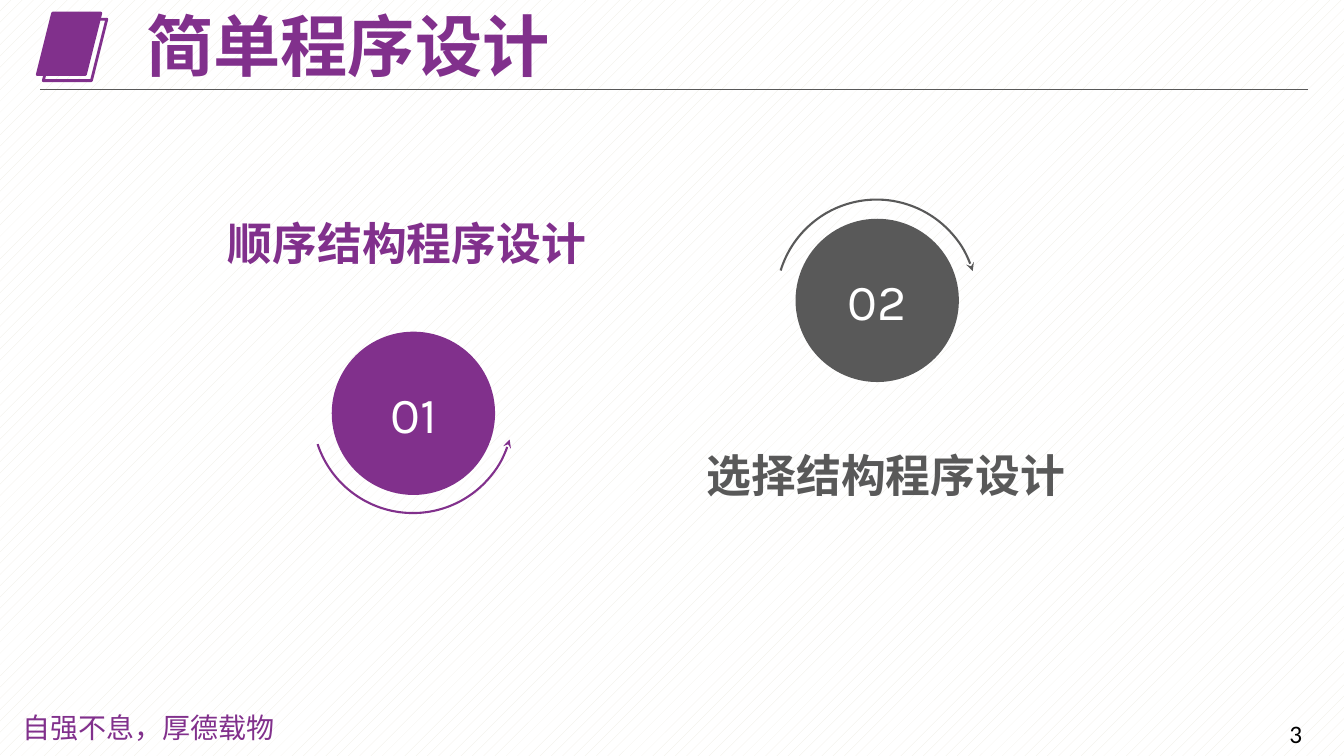
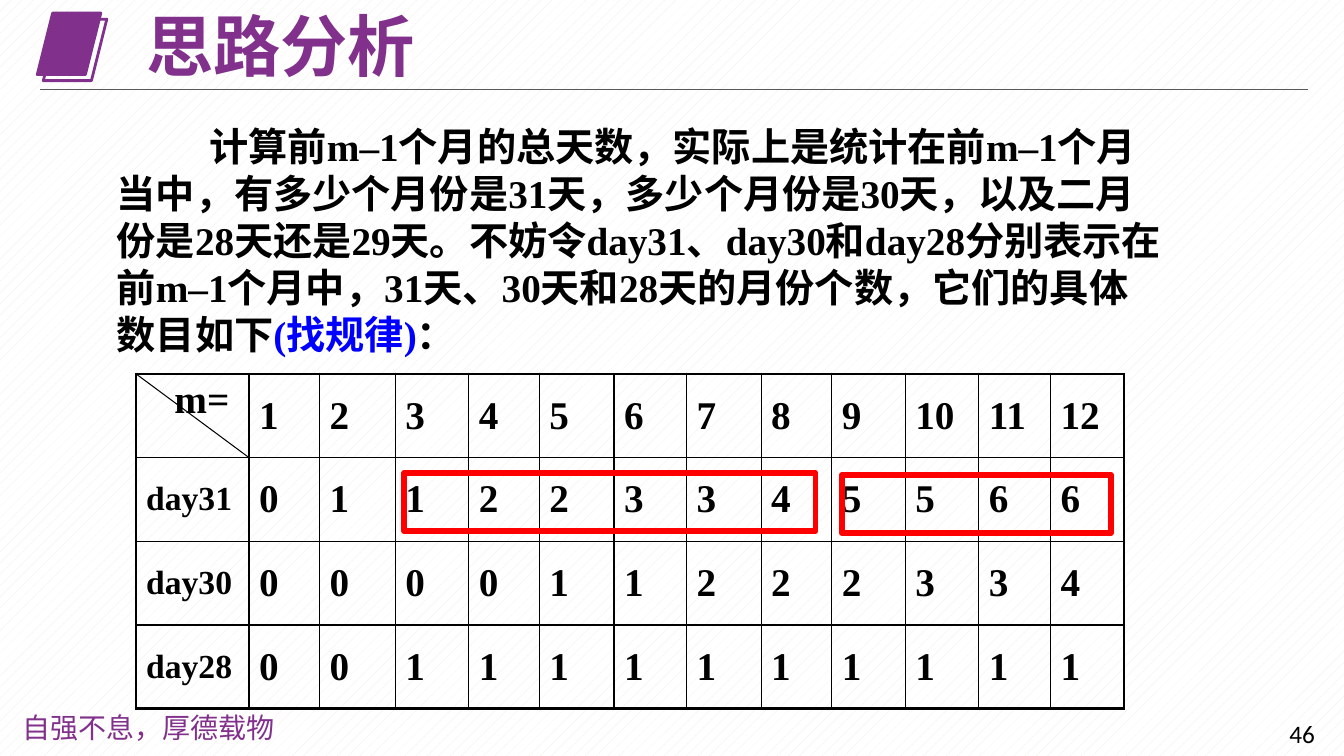
from lxml.etree import SubElement
from pptx import Presentation
from pptx.dml.color import RGBColor
from pptx.enum.dml import MSO_PATTERN
from pptx.enum.shapes import MSO_CONNECTOR, MSO_SHAPE as SHAPE
from pptx.enum.text import MSO_ANCHOR as ANCHOR, MSO_AUTO_SIZE as AUTO_SIZE, PP_ALIGN as ALIGN
from pptx.oxml.ns import qn
from pptx.util import Inches, Pt

PURPLE, GREY, BLACK, WHITE = "81308C", "595959", "000000", "FFFFFF"
RED, BLUE, PAPER = "FF0000", "0000FF", "EEECE1"
HEAD_FONT, FOOT_FONT = "Noto Sans CJK SC", "Noto Sans CJK JP"
SERIF, SANS, DIGITS = "Times New Roman", "Calibri", "Karla"

TABLE_LEFT, TABLE_TOP, ROW_HEIGHT = 1.35, 3.71, 0.83
COLUMN_WIDTHS = [1.12, 0.7, 0.75, 0.73, 0.7, 0.74, 0.72, 0.74, 0.7, 0.73, 0.73, 0.71, 0.73]
MONTH_COUNTS = [
    "m= 1 2 3 4 5 6 7 8 9 10 11 12",
    "day31 0 1 1 2 2 3 3 4 5 5 6 6",
    "day30 0 0 0 0 1 1 2 2 2 3 3 4",
    "day28 0 0 1 1 1 1 1 1 1 1 1 1",
]
EXPLANATION = (
    "计算前m–1个月的总天数，实际上是统计在前m–1个月当中，有多少个月份是31天，"
    "多少个月份是30天，以及二月份是28天还是29天。不妨令day31、day30和day28"
    "分别表示在前m–1个月中，31天、30天和28天的月份个数，它们的具体数目如下"
)


def rgb(value):
    return RGBColor.from_string(value)


def inches(*lengths):
    return [Inches(length) for length in lengths]


def style(paragraph, size, font, color, bold=False, east_asian=None):
    paragraph.font.size = Pt(size)
    paragraph.font.bold = bold
    paragraph.font.color.rgb = rgb(color)
    paragraph.font.name = font
    if east_asian:
        defaults = paragraph._p.pPr.find(qn("a:defRPr"))
        SubElement(defaults, qn("a:ea")).set("typeface", east_asian)


def add_text(slide, box, text, size, font, color, bold=False, east_asian=None):
    frame = slide.shapes.add_textbox(*inches(*box)).text_frame
    frame.word_wrap = True
    paragraph = frame.paragraphs[0]
    paragraph.text = text
    style(paragraph, size, font, color, bold, east_asian)
    return paragraph


def add_figure(shapes, kind, box, fill=None, line=None, width=1):
    figure = shapes.add_shape(kind, *inches(*box))
    figure.shadow.inherit = False
    if fill:
        figure.fill.solid()
        figure.fill.fore_color.rgb = rgb(fill)
    else:
        figure.fill.background()
    if line:
        figure.line.color.rgb = rgb(line)
        figure.line.width = Pt(width)
    else:
        figure.line.fill.background()
    return figure


def add_line(slide, start, end, color):
    line = slide.shapes.add_connector(MSO_CONNECTOR.STRAIGHT, *inches(*start, *end))
    line.line.color.rgb = rgb(color)
    line.line.width = Pt(0.75)
    SubElement(line._element.spPr, qn("a:effectLst"))


def add_page(deck, heading, title_width, number):
    slide = deck.slides.add_slide(deck.slide_layouts[5])
    add_text(slide, (0.12, 7, 2.78, 0.44), "自强不息，厚德载物", 20, FOOT_FONT, PURPLE,
             east_asian=FOOT_FONT)
    add_text(slide, (12.69, 7.08, 0.61, 0.4), str(number), 18, SANS, BLACK)

    emblem = slide.shapes.add_group_shape().shapes
    add_figure(emblem, SHAPE.PARALLELOGRAM, (0.37, 0.13, 0.63, 0.61), PURPLE, PURPLE, 2)
    add_figure(emblem, SHAPE.PARALLELOGRAM, (0.43, 0.19, 0.63, 0.61), None, PURPLE, 2)
    add_line(slide, (0.4, 0.89), (12.97, 0.89), GREY)

    title = slide.shapes.title
    title.left, title.top, title.width, title.height = inches(1.35, 0.11, title_width, 0.76)
    frame = title.text_frame
    frame.auto_size = AUTO_SIZE.NONE
    frame.vertical_anchor = ANCHOR.MIDDLE
    frame.margin_top = frame.margin_bottom = 0
    paragraph = frame.paragraphs[0]
    paragraph.text = heading
    paragraph.alignment = ALIGN.LEFT
    paragraph.line_spacing = 0.9
    style(paragraph, 48, HEAD_FONT, PURPLE, True, HEAD_FONT)
    return slide


def add_chapter(slide, number, label, label_box, center, color, rotation, mirrored):
    x, y = center
    badge = slide.shapes.add_group_shape().shapes
    disc = add_figure(badge, SHAPE.OVAL, (x - 0.81, y - 0.81, 1.62, 1.62), color)
    disc.text_frame.vertical_anchor = ANCHOR.MIDDLE
    paragraph = disc.text_frame.paragraphs[0]
    paragraph.text = number
    paragraph.alignment = ALIGN.CENTER
    style(paragraph, 36, DIGITS, WHITE)

    sweep = add_figure(badge, SHAPE.ARC, (x - 1, y - 1, 1.99, 1.99), None, color, 1.5)
    sweep.adjustments[0], sweep.adjustments[1] = 145.86, 17.63
    sweep.rotation = rotation
    if mirrored:
        sweep._element.spPr.xfrm.set("flipH", "1")
    SubElement(sweep.line._get_or_add_ln(), qn("a:headEnd")).set("type", "stealth")
    add_text(slide, label_box, label, 32, HEAD_FONT, color, True, HEAD_FONT)


def set_borders(cell, widths):
    properties = cell._tc.get_or_add_tcPr()
    for side, width in zip("LRTB", widths):
        border = SubElement(properties, qn(f"a:ln{side}"), w=str(Pt(width)))
        fill = SubElement(border, qn("a:solidFill"))
        SubElement(fill, qn("a:srgbClr")).set("val", BLACK)


def add_month_table(slide):
    rows = [line.split() for line in MONTH_COUNTS]
    last_row, last_column = len(rows) - 1, len(COLUMN_WIDTHS) - 1
    box = inches(TABLE_LEFT, TABLE_TOP, sum(COLUMN_WIDTHS), ROW_HEIGHT * len(rows))
    table = slide.shapes.add_table(len(rows), len(COLUMN_WIDTHS), *box).table
    table.first_row = table.horz_banding = False
    for column, width in zip(table.columns, COLUMN_WIDTHS):
        column.width = Inches(width)
    for r, values in enumerate(rows):
        table.rows[r].height = Inches(ROW_HEIGHT)
        for c, value in enumerate(values):
            cell = table.cell(r, c)
            edges = (c == 0, c == last_column, r == 0, r == last_row)
            set_borders(cell, [2.25 if outer else 1 for outer in edges])
            cell.fill.background()
            corner = r == c == 0
            cell.vertical_anchor = ANCHOR.TOP if corner else ANCHOR.MIDDLE
            paragraph = cell.text_frame.paragraphs[0]
            paragraph.text = value
            if corner:
                paragraph._p.get_or_add_pPr().set("marL", str(Inches(0.28)))
            style(paragraph, 24 if c == 0 and r else 28, SERIF, BLACK, True)


def build_contents(deck):
    slide = add_page(deck, "简单程序设计", 6.15, 3)
    add_chapter(slide, "02", "选择结构程序设计", (6.91, 4.39, 4.06, 0.59),
                (8.7, 2.98), GREY, 46.4, True)
    add_chapter(slide, "01", "顺序结构程序设计", (2.16, 2.09, 4.07, 0.75),
                (4.1, 4.1), PURPLE, 132.4, False)


def build_analysis(deck):
    slide = add_page(deck, "思路分析", 8.33, 46)
    paragraph = add_text(slide, (1.06, 1.17, 10.57, 2.46), EXPLANATION, 28, SERIF, BLACK,
                         True, HEAD_FONT)
    paragraph.line_spacing = Pt(33.5)
    paragraph._p.pPr.set("indent", str(Inches(0.92)))
    hint = paragraph.add_run()
    hint.text = "(找规律)"
    hint.font.color.rgb = rgb(BLUE)
    paragraph.add_run().text = "："

    add_month_table(slide)
    add_line(slide, (TABLE_LEFT, TABLE_TOP),
             (TABLE_LEFT + COLUMN_WIDTHS[0], TABLE_TOP + ROW_HEIGHT), BLACK)
    for highlight in ((4.01, 4.69, 4.08, 0.58), (8.35, 4.71, 2.67, 0.58)):
        add_figure(slide.shapes, SHAPE.RECTANGLE, highlight, None, RED, 4)


def main():
    deck = Presentation()
    deck.slide_width, deck.slide_height = inches(13.33, 7.5)
    backdrop = deck.slide_master.background.fill
    backdrop.patterned()
    backdrop.pattern = MSO_PATTERN.PERCENT_10
    backdrop.fore_color.rgb = rgb(PAPER)
    backdrop.back_color.rgb = rgb(WHITE)
    build_contents(deck)
    build_analysis(deck)
    deck.save("out.pptx")


if __name__ == "__main__":
    main()
